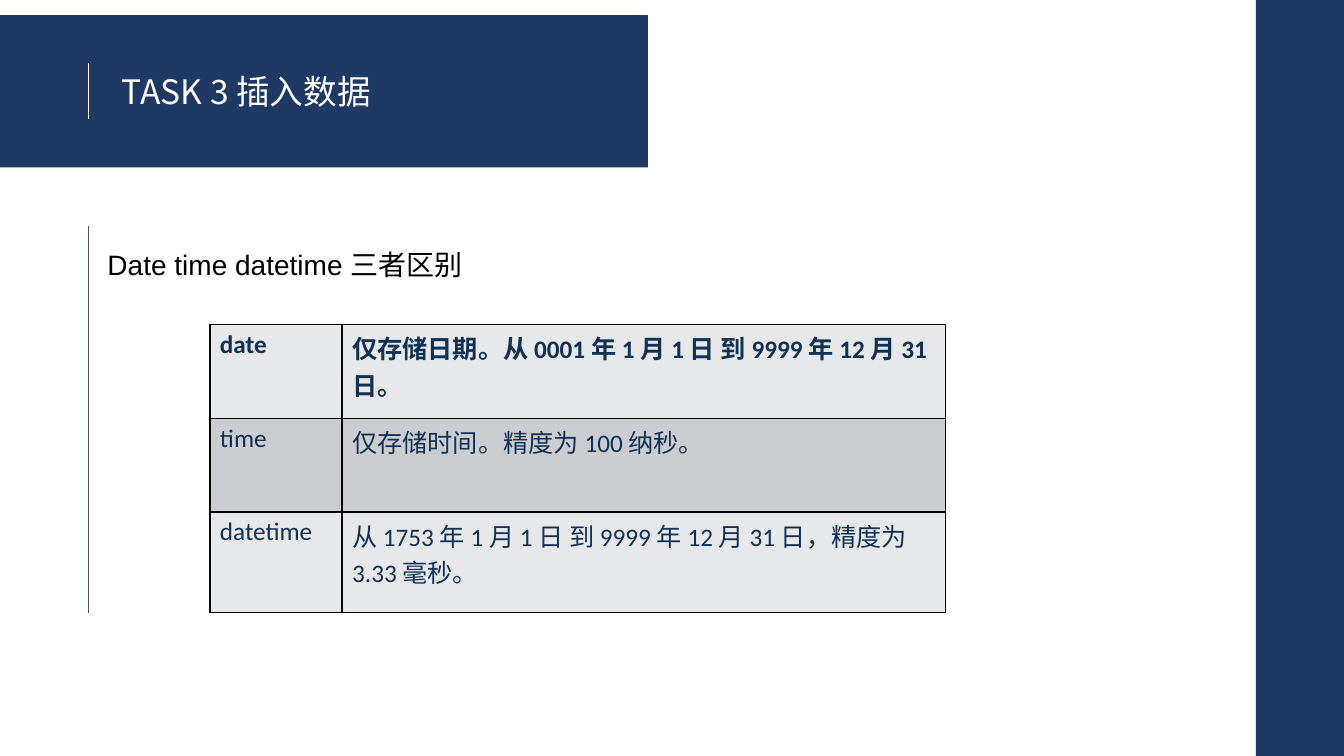
from dataclasses import dataclass

from lxml.etree import SubElement as Sub
from pptx import Presentation
from pptx.dml.color import RGBColor as RGB
from pptx.enum.shapes import MSO_CONNECTOR as Conn, MSO_SHAPE as Shape
from pptx.enum.text import MSO_ANCHOR as Anchor, MSO_AUTO_SIZE as Fit, PP_ALIGN as Align
from pptx.oxml.ns import qn
from pptx.util import Cm, Pt


@dataclass(frozen=True)
class Theme:
    navy: str = "203864"
    white: str = "FFFFFF"
    black: str = "000000"
    slate: str = "44546A"
    ink: str = "103154"
    light: str = "E7E8E9"
    dark: str = "CCCDD1"
    cjk: str = "Noto Sans CJK SC"
    sans: str = "Arial"
    body: str = "Calibri"
    title: int = 24
    head: int = 20
    cell: int = 18
    rule: float = 0.5
    edge: float = 1


class Page:
    def __init__(self, deck, theme):
        self.theme = theme
        self.slide = deck.slides.add_slide(deck.slide_layouts[5])
        self.shapes = self.slide.shapes

    def style(self, frame, font, size, color, bold=False):
        for para in frame.paragraphs:
            para.alignment = Align.LEFT
            for run in para.runs:
                run.font.name = font
                run.font.size = Pt(size)
                run.font.bold = bold
                run.font.color.rgb = RGB.from_string(color)
                Sub(run.font._element, qn("a:ea"), typeface=self.theme.cjk)

    def place(self, shape, x, y, w, h):
        shape.left, shape.top, shape.width, shape.height = map(Cm, (x, y, w, h))

    def block(self, x, y, w, h):
        box = self.shapes.add_shape(Shape.RECTANGLE, *map(Cm, (x, y, w, h)))
        box.shadow.inherit = False
        box.fill.solid()
        box.fill.fore_color.rgb = RGB.from_string(self.theme.navy)
        box.line.fill.background()

    def rule(self, x, top, end, color):
        line = self.shapes.add_connector(Conn.STRAIGHT, *map(Cm, (x, top, x, end)))
        line.line.color.rgb = RGB.from_string(color)
        line.line.width = Pt(self.theme.rule)
        Sub(line._element.spPr, qn("a:effectLst"))

    def title(self, text, x, y, w, h):
        box = self.shapes.title
        # Bring the title in front of its band
        box.element.getparent().append(box.element)
        self.place(box, x, y, w, h)
        frame = box.text_frame
        frame.text = text
        frame.auto_size = Fit.NONE
        frame.vertical_anchor = Anchor.MIDDLE
        frame.margin_left = Cm(0.43)
        self.style(frame, self.theme.cjk, self.theme.title, self.theme.white)

    def text(self, text, x, y, w, h):
        frame = self.shapes.add_textbox(*map(Cm, (x, y, w, h))).text_frame
        frame.word_wrap = True
        frame.text = text
        frame.paragraphs[0].line_spacing = 1.5
        self.style(frame, self.theme.sans, self.theme.head, self.theme.black)

    def border(self, cell):
        props = cell._tc.get_or_add_tcPr()
        for i, side in enumerate(("lnL", "lnR", "lnT", "lnB")):
            line = props.makeelement(qn("a:" + side), {"w": str(Pt(self.theme.edge))})
            fill = Sub(line, qn("a:solidFill"))
            Sub(fill, qn("a:srgbClr"), val=self.theme.black)
            props.insert(i, line)

    def table(self, rows, x, y, wide, high):
        area = map(Cm, (x, y, sum(wide), sum(high)))
        grid = self.shapes.add_table(len(rows), len(wide), *area).table
        grid.first_row = grid.horz_banding = False
        for col, w in zip(grid.columns, wide):
            col.width = Cm(w)
        for r, texts in enumerate(rows):
            grid.rows[r].height = Cm(high[r])
            shade = self.theme.dark if r % 2 else self.theme.light
            for c, text in enumerate(texts):
                cell = grid.cell(r, c)
                cell.text_frame.text = text
                cell.fill.solid()
                cell.fill.fore_color.rgb = RGB.from_string(shade)
                self.border(cell)
                self.style(cell.text_frame, self.theme.body, self.theme.cell,
                           self.theme.ink, bold=r == 0)


def main():
    deck = Presentation()
    deck.slide_width, deck.slide_height = Cm(33.87), Cm(19.05)
    theme = Theme()
    page = Page(deck, theme)

    # Title band
    page.block(0, 0.38, 16.33, 3.84)
    page.title("TASK 3 插入数据", 2.64, 1.65, 11.91, 1.27)
    page.rule(2.22, 1.58, 3, theme.white)

    # Side rule and right band
    page.rule(2.22, 5.69, 15.44, theme.slate)
    page.block(31.65, 0, 2.22, 19.05)

    # Heading and type table
    page.text("Date time datetime 三者区别", 2.46, 5.69, 28.6, 2.69)
    types = [
        ("date", "仅存储日期。从 0001 年 1 月 1 日 到 9999 年 12 月 31 日。"),
        ("time", "仅存储时间。精度为 100 纳秒。"),
        ("datetime", "从 1753 年 1 月 1 日 到 9999 年 12 月 31 日，精度为 3.33 毫秒。"),
    ]
    page.table(types, 5.29, 8.18, (3.33, 15.21), (2.36, 2.36, 2.54))

    deck.save("out.pptx")


if __name__ == "__main__":
    main()
